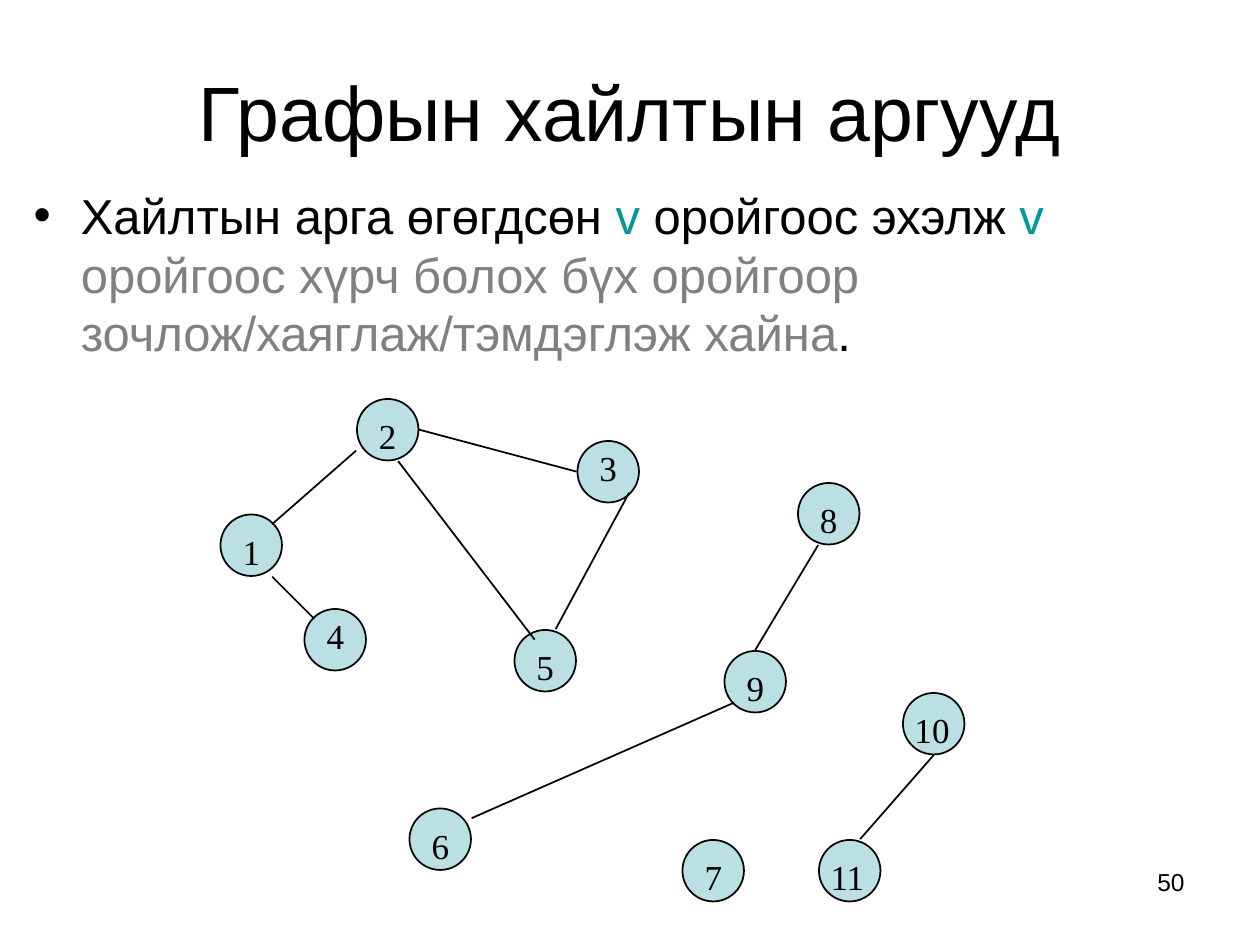
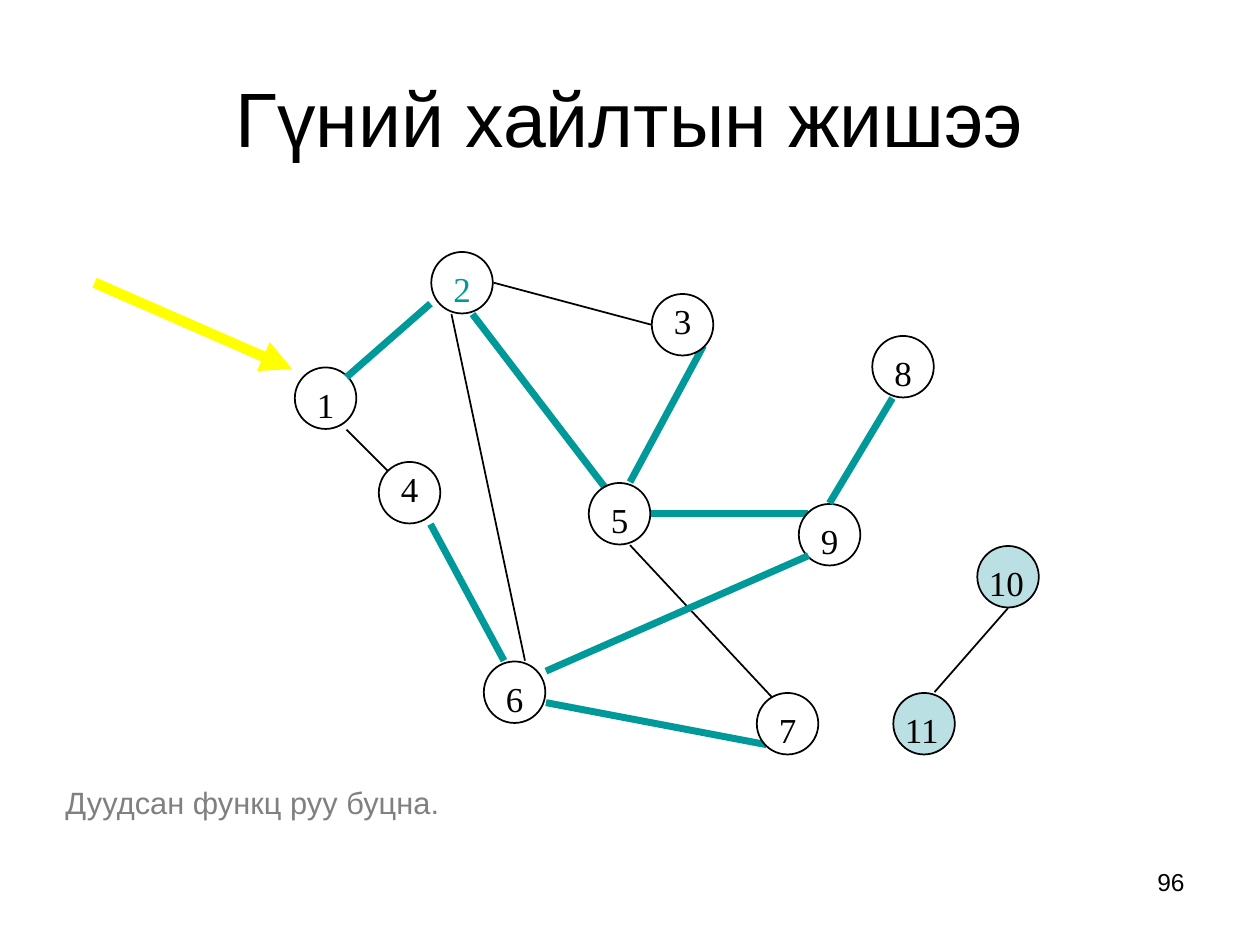
from dataclasses import dataclass
from typing import NamedTuple

from lxml.etree import SubElement
from pptx import Presentation
from pptx.dml.color import RGBColor
from pptx.enum.shapes import MSO_CONNECTOR, MSO_SHAPE
from pptx.enum.text import MSO_ANCHOR, PP_ALIGN
from pptx.oxml.ns import qn
from pptx.util import Cm, Pt

BLACK = RGBColor(0x00, 0x00, 0x00)
WHITE = RGBColor(0xFF, 0xFF, 0xFF)
GRAY = RGBColor(0x80, 0x80, 0x80)
TEAL = RGBColor(0x00, 0x99, 0x99)
PALE_BLUE = RGBColor(0xBB, 0xE0, 0xE3)
YELLOW = RGBColor(0xFF, 0xFF, 0x00)

SANS = "Arial"
SERIF = "Times New Roman"

# Graph coordinates count steps of this grid, in centimetres
GRID = 2.54 / 12
CIRCLE_SHIFT = 0.08
CIRCLE_SIZE = Cm(1.24)


class Span(NamedTuple):
    text: str
    color: RGBColor = BLACK


class Frame(NamedTuple):
    """Left, top, width and height in centimetres."""
    left: float
    top: float
    width: float
    height: float


class Edge(NamedTuple):
    x1: float
    y1: float
    x2: float
    y2: float


@dataclass
class Node:
    number: int
    x: float
    y: float
    label_dx: float = 1
    label_dy: float = 1
    label_width: float = 0.64


@dataclass
class Origin:
    """Grid position of a whole graph on its slide."""
    x: float
    y: float

    def place(self, x: float, y: float) -> tuple:
        return Cm((self.x + x) * GRID), Cm((self.y + y) * GRID)


class Visit(NamedTuple):
    """A reached node and the tree edge drawn just before it."""
    number: int
    edge: tuple | None = None


NODES = {node.number: node for node in (
    Node(1, 21, 49),
    Node(2, 34, 38),
    Node(3, 55, 42, label_dy=0),
    Node(4, 29, 58, label_dy=0),
    Node(5, 49, 60),
    Node(6, 39, 77),
    Node(7, 65, 80),
    Node(8, 76, 46),
    Node(9, 69, 62),
    Node(10, 86, 66, label_dx=0, label_width=1.27),
    Node(11, 78, 80, label_dx=0, label_width=2.11),
)}

EDGES = {
    (1, 2): Edge(34, 43, 26, 50),
    (1, 4): Edge(26, 55, 30, 59),
    (2, 3): Edge(40, 41, 55, 45),
    (2, 5): Edge(38, 44, 51, 61),
    (2, 6): Edge(36, 44, 43, 77),
    (3, 5): Edge(60, 47, 53, 60),
    (4, 6): Edge(34, 64, 41, 77),
    (5, 7): Edge(53, 66, 67, 81),
    (5, 9): Edge(55, 63, 70, 63),
    (6, 7): Edge(45, 81, 66, 85),
    (6, 9): Edge(45, 78, 70, 67),
    (8, 9): Edge(78, 52, 72, 62),
    (10, 11): Edge(82, 80, 89, 72),
}

# Edges of the first graph, then the unused edges of the search
FIRST_EDGES = ((1, 2), (2, 5), (1, 4), (3, 5), (8, 9), (10, 11), (2, 3), (6, 9))
UNUSED_EDGES = ((1, 4), (5, 7), (10, 11), (2, 3), (2, 6))
UNVISITED = (10, 11)
VISITS = (
    Visit(1),
    Visit(2, (1, 2)),
    Visit(5, (2, 5)),
    Visit(9, (5, 9)),
    Visit(8, (8, 9)),
    Visit(6, (6, 9)),
    Visit(4, (4, 6)),
    Visit(7, (6, 7)),
    Visit(3, (3, 5)),
)
CURRENT = 2
START_ARROW = Edge(2, 41, 20.84, 49.24)


def add_text(page, frame: Frame, spans: list, size: float, font: str = SANS,
             align=PP_ALIGN.LEFT, anchor=MSO_ANCHOR.TOP, bullet: bool = False) -> None:
    box = page.shapes.add_textbox(*(Cm(length) for length in frame))
    text_frame = box.text_frame
    text_frame.word_wrap = True
    text_frame.vertical_anchor = anchor
    para = text_frame.paragraphs[0]
    para.alignment = align
    if bullet:
        properties = para._p.get_or_add_pPr()
        properties.set("marL", str(Cm(0.95)))
        properties.set("indent", str(Cm(-0.95)))
        SubElement(properties, qn("a:buFont"), typeface=SANS)
        SubElement(properties, qn("a:buChar"), char="•")
    for span in spans:
        run = para.add_run()
        run.text = span.text
        run.font.size = Pt(size)
        run.font.name = font
        run.font.color.rgb = span.color


def add_title(page, frame: Frame, text: str) -> None:
    add_text(page, frame, [Span(text)], 44, align=PP_ALIGN.CENTER,
             anchor=MSO_ANCHOR.MIDDLE)


def add_page_number(page, number: int) -> None:
    add_text(page, Frame(18.2, 17.36, 5.93, 1.32), [Span(str(number))], 14,
             align=PP_ALIGN.RIGHT)


def add_edge(page, origin: Origin, edge: Edge, color: RGBColor = BLACK,
             width: float = 1, arrow: bool = False) -> None:
    line = page.shapes.add_connector(
        MSO_CONNECTOR.STRAIGHT,
        *origin.place(edge.x1, edge.y1), *origin.place(edge.x2, edge.y2))
    line.line.color.rgb = color
    line.line.width = Pt(width)
    if arrow:
        SubElement(line.line._get_or_add_ln(), qn("a:tailEnd"), type="triangle")
    SubElement(line._element.spPr, qn("a:effectLst"))


def add_circle(page, origin: Origin, node: Node, fill: RGBColor) -> None:
    corner = origin.place(node.x + CIRCLE_SHIFT, node.y + CIRCLE_SHIFT)
    circle = page.shapes.add_shape(MSO_SHAPE.OVAL, *corner, CIRCLE_SIZE, CIRCLE_SIZE)
    circle.shadow.inherit = False
    circle.fill.solid()
    circle.fill.fore_color.rgb = fill
    circle.line.color.rgb = BLACK
    circle.line.width = Pt(1)


def add_label(page, origin: Origin, node: Node, color: RGBColor = BLACK) -> None:
    left, top = origin.place(node.x + node.label_dx, node.y + node.label_dy)
    add_text(page, Frame(left.cm, top.cm, node.label_width, 1.09),
             [Span(str(node.number), color)], 20, SERIF)


def build_methods_page(page) -> None:
    add_title(page, Frame(1.91, 0.64, 21.59, 3.18), "Графын хайлтын аргууд")
    add_text(page, Frame(0.43, 3.61, 24.33, 4.01), [
        Span("Хайлтын арга өгөгдсөн "),
        Span("v ", TEAL),
        Span("оройгоос эхэлж"),
        Span(" v ", TEAL),
        Span("оройгоос хүрч болох бүх оройгоор зочлож/хаяглаж/тэмдэглэж хайна", GRAY),
        Span("."),
    ], 28, bullet=True)

    # Graph before the search
    origin = Origin(-0.08, -0.08)
    for node in NODES.values():
        add_circle(page, origin, node, PALE_BLUE)
    for ends in FIRST_EDGES:
        add_edge(page, origin, EDGES[ends])
    for node in NODES.values():
        add_label(page, origin, node)
    add_page_number(page, 50)


def build_depth_search_page(page) -> None:
    add_title(page, Frame(1.27, 0.76, 22.86, 3.18), "Гүний хайлтын жишээ")
    origin = Origin(7, -14.08)

    # Parts that the search has not used
    for number in UNVISITED:
        add_circle(page, origin, NODES[number], PALE_BLUE)
        add_label(page, origin, NODES[number])
    for ends in UNUSED_EDGES:
        add_edge(page, origin, EDGES[ends])

    # Search tree in order of visits
    for visit in VISITS:
        node = NODES[visit.number]
        if visit.edge:
            add_edge(page, origin, EDGES[visit.edge], TEAL, 4)
        add_circle(page, origin, node, WHITE)
        add_label(page, origin, node, TEAL if visit.number == CURRENT else BLACK)
    add_edge(page, origin, START_ARROW, YELLOW, 6, arrow=True)

    add_text(page, Frame(1.07, 15.67, 22.02, 1.07),
             [Span("Дуудсан функц руу буцна.", GRAY)], 17.6)
    add_page_number(page, 96)


def main() -> None:
    deck = Presentation()
    deck.slide_width = Cm(25.4)
    deck.slide_height = Cm(19.05)
    blank = deck.slide_layouts[6]
    for build in (build_methods_page, build_depth_search_page):
        build(deck.slides.add_slide(blank))
    deck.save("out.pptx")


if __name__ == "__main__":
    main()
